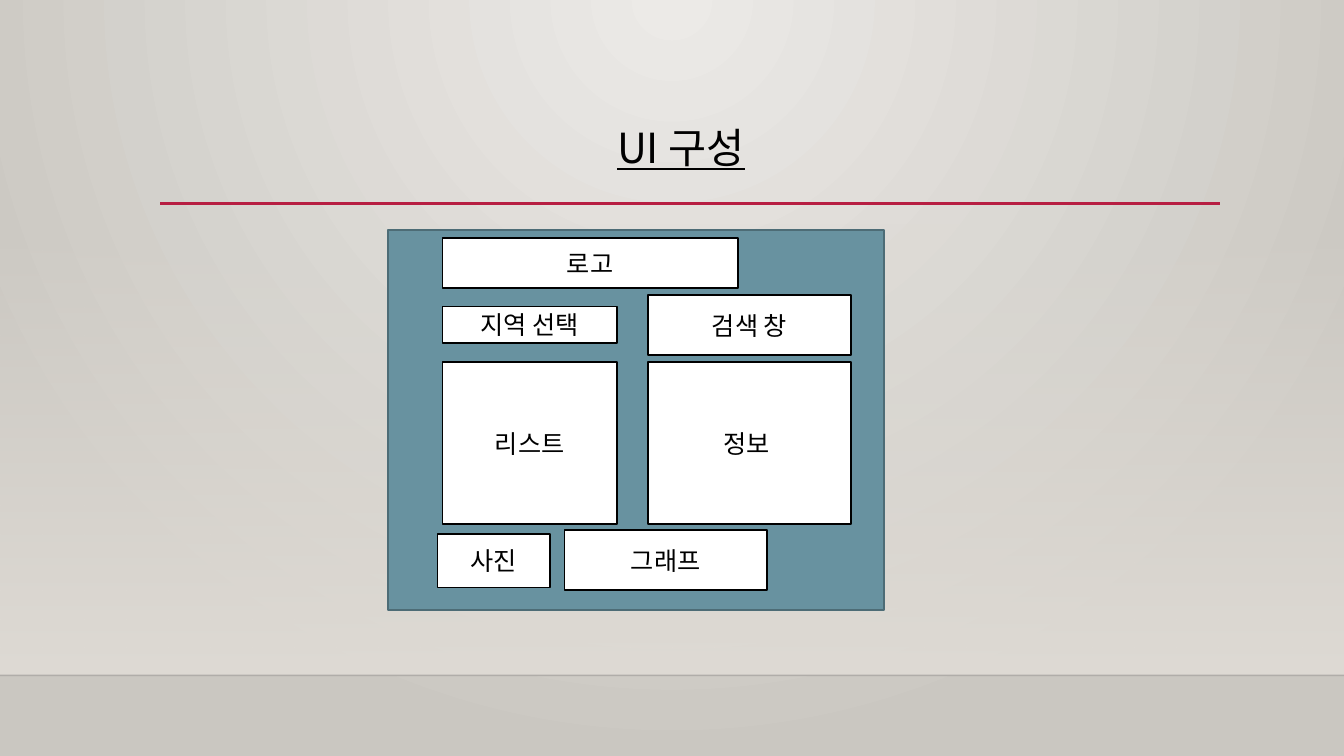
from dataclasses import dataclass

from pptx import Presentation
from pptx.dml.color import RGBColor
from pptx.enum.shapes import MSO_CONNECTOR as Connector, MSO_SHAPE as Shape
from pptx.enum.text import MSO_ANCHOR as Anchor, PP_ALIGN as Align
from pptx.oxml import parse_xml
from pptx.oxml.ns import nsdecls, qn
from pptx.oxml.xmlchemy import OxmlElement
from pptx.util import Pt


@dataclass(frozen=True)
class Theme:
    """Colours, fonts and sizes of the slide."""
    glow: str = "ECEAE7"
    edge: str = "CAC7C1"
    floor: str = "DFDBD5"
    floor_line: str = "000001"
    rule: str = "B71E42"
    panel: str = "6892A0"
    panel_line: str = "4D6C76"
    white: str = "FFFFFF"
    ink: str = "000000"
    latin: str = "Cabin"
    korean: str = "Noto Sans CJK KR"
    title_size: float = 29.6
    label_size: float = 18
    outline: float = 1.25


THEME = Theme()
WIDTH, HEIGHT = 960, 540
FLOOR_TOP, HORIZON = 159.12, 482.4
LEFT, RIGHT = 316.08, 462.96
NARROW, WIDE = 124.56, 144.72
BODY_TOP, BODY_HEIGHT = 258.48, 115.92
FIELD_HEIGHT = 42.48

WIDGETS = [
    ("지역 선택", LEFT, 218.88, NARROW, 25.92),
    ("검색 창", RIGHT, 210.96, WIDE, FIELD_HEIGHT),
    ("리스트", LEFT, BODY_TOP, NARROW, BODY_HEIGHT),
    ("정보 ", RIGHT, BODY_TOP, WIDE, BODY_HEIGHT),
    ("로고", LEFT, 169.92, 210.96, 36),
    ("사진", 312.48, 381.6, 80.64, 38.16),
    ("그래프", 403.2, 378.72, WIDE, FIELD_HEIGHT),
]


def color(value):
    """Turn a hex string into a colour."""
    return RGBColor.from_string(value)


def set_alpha(element, percent):
    """Set the opacity of the first RGB colour inside an element."""
    alpha = OxmlElement("a:alpha")
    alpha.set("val", str(percent * 1000))
    next(element.iter(qn("a:srgbClr"))).append(alpha)


def set_gradient(fill, first, last):
    """Give a fill a two-colour gradient."""
    fill.gradient()
    for stop, value in zip(fill.gradient_stops, (first, last)):
        stop.color.rgb = color(value)


def paint_background(page):
    """Paint a round glow that spreads from the top of the page."""
    set_gradient(page.background.fill, THEME.glow, THEME.edge)
    gradient = next(page.element.iter(qn("a:gradFill")))
    gradient.replace(gradient.find(qn("a:lin")), parse_xml(
        f'<a:path {nsdecls("a")} path="circle">'
        '<a:fillToRect l="43000" t="0" r="43000" b="100000"/></a:path>'))


def add_floor(page):
    """Add the band that fades in towards the bottom."""
    band = page.shapes.add_shape(
        Shape.RECTANGLE, 0, Pt(FLOOR_TOP), Pt(WIDTH), Pt(HORIZON - FLOOR_TOP))
    band.shadow.inherit = False
    band.line.fill.background()
    set_gradient(band.fill, THEME.floor, THEME.floor)
    band.fill.gradient_angle = 270
    set_alpha(next(band.element.iter(qn("a:gs"))), 0)


def add_rule(page, left, right, top, *, line, width, opacity=100):
    """Add a horizontal line."""
    rule = page.shapes.add_connector(
        Connector.STRAIGHT, Pt(left), Pt(top), Pt(right), Pt(top))
    rule.line.color.rgb = color(line)
    rule.line.width = Pt(width)
    if opacity < 100:
        set_alpha(rule.element.spPr, opacity)
    rule.element.spPr.append(OxmlElement("a:effectLst"))


def write(box, text, *, size, latin, underline=None, spacing=None):
    """Write one centred paragraph into a shape."""
    frame = box.text_frame
    frame.word_wrap = True
    frame.vertical_anchor = Anchor.MIDDLE
    para = frame.paragraphs[0]
    para.alignment = Align.CENTER
    para.line_spacing = spacing
    span = para.add_run()
    span.text = text
    span.font.size = Pt(size)
    span.font.underline = underline
    span.font.color.rgb = color(THEME.ink)
    span.font.name = latin
    east_asian = OxmlElement("a:ea")
    east_asian.set("typeface", THEME.korean)
    span.font._element.find(qn("a:latin")).addnext(east_asian)


def add_box(page, left, top, width, height, *, fill, line):
    """Add an outlined rectangle."""
    box = page.shapes.add_shape(
        Shape.RECTANGLE, Pt(left), Pt(top), Pt(width), Pt(height))
    box.shadow.inherit = False
    box.fill.solid()
    box.fill.fore_color.rgb = color(fill)
    box.line.color.rgb = color(line)
    box.line.width = Pt(THEME.outline)
    return box


def add_title(page, text):
    """Add the underlined title."""
    box = page.shapes.add_textbox(Pt(335.5), Pt(92.88), Pt(301.68), Pt(32.4))
    write(box, text, size=THEME.title_size, latin=THEME.korean,
          underline=True, spacing=0.7)


def main():
    """Build the slide and save it."""
    deck = Presentation()
    deck.slide_width, deck.slide_height = Pt(WIDTH), Pt(HEIGHT)
    page = deck.slides.add_slide(deck.slide_layouts[6])
    paint_background(page)
    add_floor(page)
    add_rule(page, 0, WIDTH, HORIZON, line=THEME.floor_line, width=1, opacity=20)
    add_rule(page, 114.48, 871.2, 145.44, line=THEME.rule, width=2.5)
    add_title(page, "UI 구성")
    add_box(page, 277.2, 164.16, 354.24, 271.44,
            fill=THEME.panel, line=THEME.panel_line)
    for label, *place in WIDGETS:
        box = add_box(page, *place, fill=THEME.white, line=THEME.ink)
        write(box, label, size=THEME.label_size, latin=THEME.latin)
    deck.save("out.pptx")


if __name__ == "__main__":
    main()
